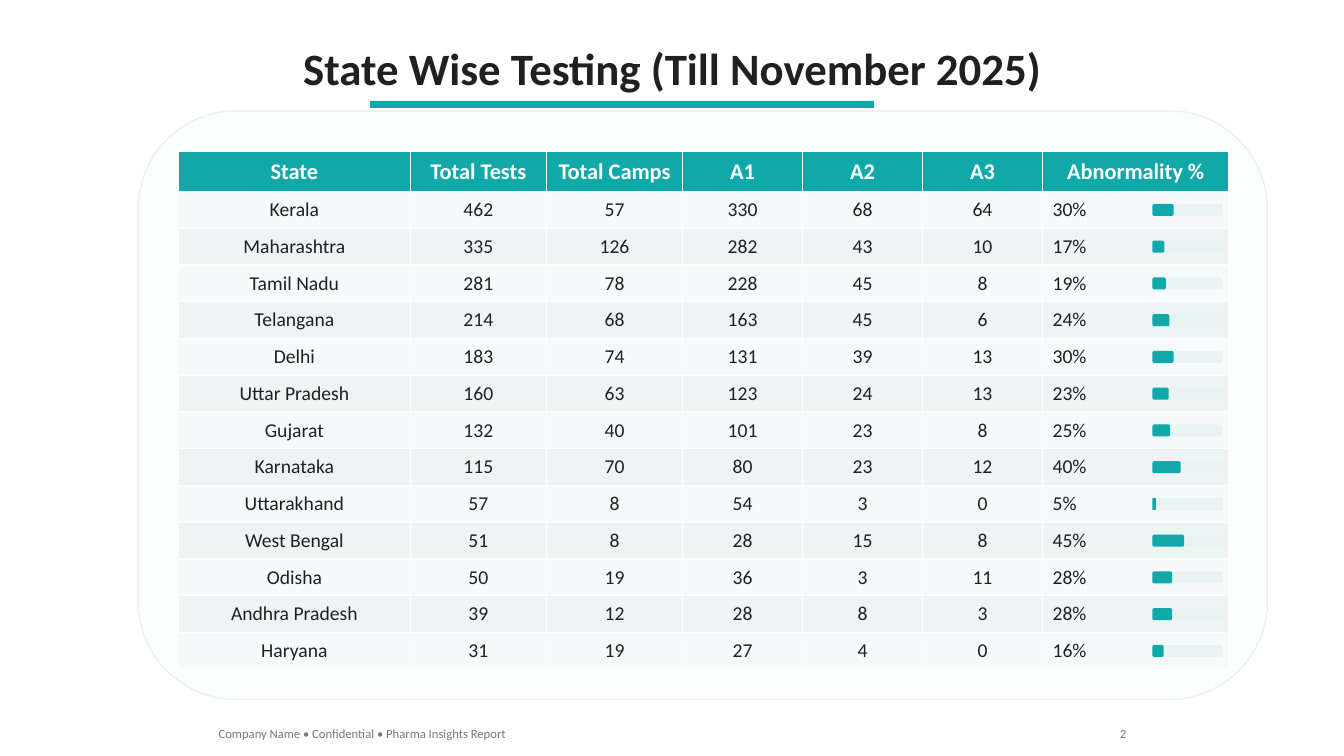
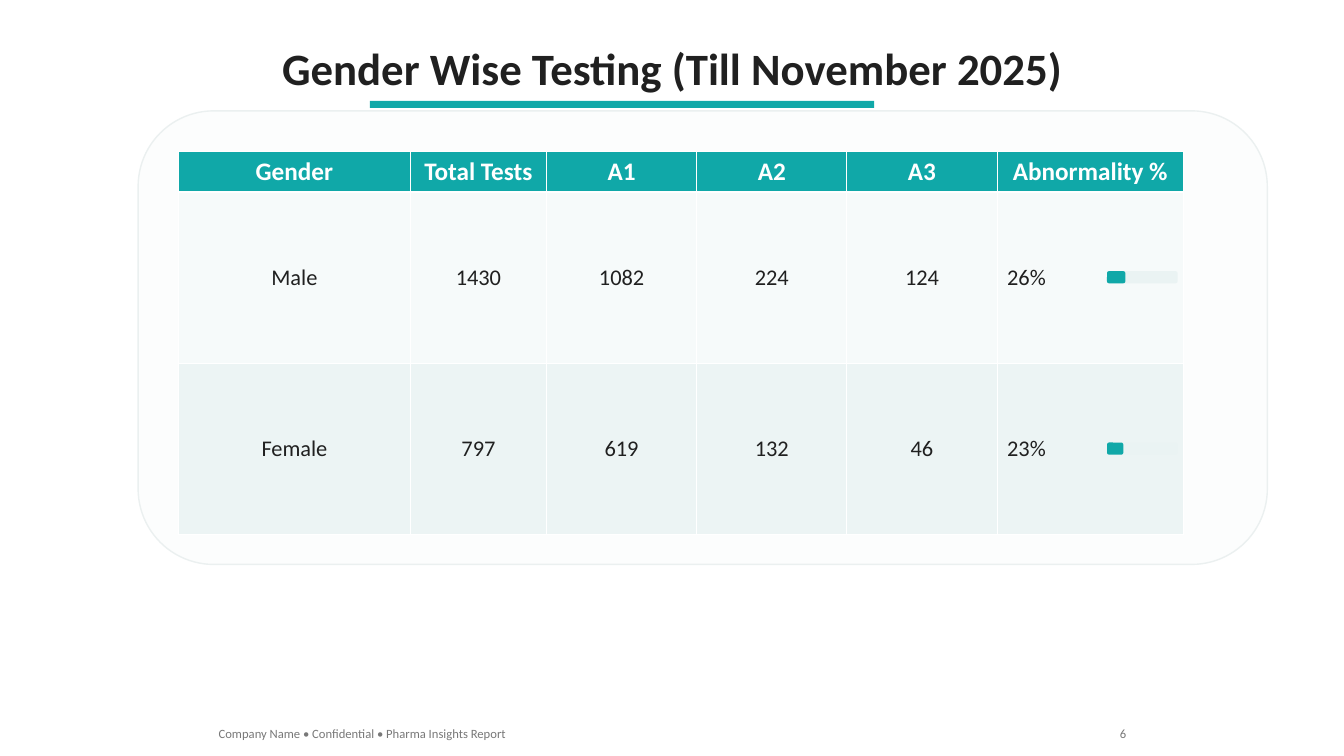
from pptx import Presentation
from pptx.dml.color import RGBColor
from pptx.enum.shapes import MSO_SHAPE
from pptx.enum.text import MSO_ANCHOR, PP_ALIGN
from pptx.util import Inches, Pt

RECTANGLE, ROUNDED = MSO_SHAPE.RECTANGLE, MSO_SHAPE.ROUNDED_RECTANGLE
LEFT, CENTER, RIGHT = PP_ALIGN.LEFT, PP_ALIGN.CENTER, PP_ALIGN.RIGHT
MIDDLE = MSO_ANCHOR.MIDDLE

FONT = "Calibri"
COLORS = {
    "accent": "10A8A8",
    "text": "202020",
    "muted": "787878",
    "white": "FFFFFF",
    "card": "FCFDFD",
    "card_line": "EBF0F0",
    "track": "EAF3F3",
    "odd_row": "F6FAFA",
    "even_row": "ECF4F4",
}
FOOTER = "Company Name • Confidential • Pharma Insights Report"
TITLE_ONLY = 5
TABLE_LEFT, TABLE_TOP, HEADER_HEIGHT = 1.77, 1.5, 0.4
CARD_MARGIN = 0.4
BAR_WIDTH, BAR_HEIGHT, BAR_INSET = 0.7, 0.12, 0.76

REPORTS = [
    {
        "title": "State Wise Testing (Till November 2025)",
        "page": "2",
        "header_size": 16,
        "body_size": 14,
        "body_height": 4.74,
        "widths": [2.3, 1.35, 1.35, 1.19, 1.19, 1.19, 1.85],
        "header": ["State", "Total Tests", "Total Camps", "A1", "A2", "A3", "Abnormality %"],
        "rows": [
            ["Kerala", 462, 57, 330, 68, 64, 30],
            ["Maharashtra", 335, 126, 282, 43, 10, 17],
            ["Tamil Nadu", 281, 78, 228, 45, 8, 19],
            ["Telangana", 214, 68, 163, 45, 6, 24],
            ["Delhi", 183, 74, 131, 39, 13, 30],
            ["Uttar Pradesh", 160, 63, 123, 24, 13, 23],
            ["Gujarat", 132, 40, 101, 23, 8, 25],
            ["Karnataka", 115, 70, 80, 23, 12, 40],
            ["Uttarakhand", 57, 8, 54, 3, 0, 5],
            ["West Bengal", 51, 8, 28, 15, 8, 45],
            ["Odisha", 50, 19, 36, 3, 11, 28],
            ["Andhra Pradesh", 39, 12, 28, 8, 3, 28],
            ["Haryana", 31, 19, 27, 4, 0, 16],
        ],
    },
    {
        "title": "Gender Wise Testing (Till November 2025)",
        "page": "6",
        "header_size": 18,
        "body_size": 16,
        "body_height": 3.4,
        "widths": [2.3, 1.35, 1.49, 1.49, 1.49, 1.85],
        "header": ["Gender", "Total Tests", "A1", "A2", "A3", "Abnormality %"],
        "rows": [
            ["Male", 1430, 1082, 224, 124, 26],
            ["Female", 797, 619, 132, 46, 23],
        ],
    },
]


def add_block(slide, kind, left, top, width, height, fill, line=None):
    shape = slide.shapes.add_shape(
        kind, Inches(left), Inches(top), Inches(width), Inches(height))
    shape.shadow.inherit = False
    shape.fill.solid()
    shape.fill.fore_color.rgb = RGBColor.from_string(COLORS[fill])
    if line:
        shape.line.color.rgb = RGBColor.from_string(COLORS[line])
        shape.line.width = Pt(1)
    else:
        shape.line.fill.background()


def write_text(text_frame, text, size, color, alignment, bold=False):
    text_frame.text = text
    paragraph = text_frame.paragraphs[0]
    paragraph.alignment = alignment
    paragraph.font.name = FONT
    paragraph.font.size = Pt(size)
    paragraph.font.bold = bold
    paragraph.font.color.rgb = RGBColor.from_string(COLORS[color])


presentation = Presentation()
presentation.slide_width = Inches(13.33)
presentation.slide_height = Inches(7.5)

for report in REPORTS:
    slide = presentation.slides.add_slide(presentation.slide_layouts[TITLE_ONLY])

    title = slide.shapes.title
    title.left, title.top = Inches(1.67), Inches(0.35)
    title.width, title.height = Inches(10), Inches(0.64)
    title.text_frame.vertical_anchor = MIDDLE
    write_text(title.text_frame, report["title"], 32, "text", CENTER, bold=True)
    add_block(slide, RECTANGLE, 3.67, 1, 5, 0.07, "accent")

    table_width = sum(report["widths"])
    table_height = HEADER_HEIGHT + report["body_height"]
    row_height = report["body_height"] / len(report["rows"])
    add_block(slide, ROUNDED, TABLE_LEFT - CARD_MARGIN, TABLE_TOP - CARD_MARGIN,
              11.2, table_height + 0.7, "card", "card_line")

    table = slide.shapes.add_table(
        len(report["rows"]) + 1, len(report["widths"]), Inches(TABLE_LEFT),
        Inches(TABLE_TOP), Inches(table_width), Inches(table_height)).table
    for column, width in zip(table.columns, report["widths"]):
        column.width = Inches(width)

    body = [[row[0], *map(str, row[1:-1]), f"{row[-1]}%"] for row in report["rows"]]
    for row_index, values in enumerate([report["header"], *body]):
        is_header = row_index == 0
        table.rows[row_index].height = Inches(HEADER_HEIGHT if is_header else row_height)
        fill = "accent" if is_header else "odd_row" if row_index % 2 else "even_row"
        size = report["header_size"] if is_header else report["body_size"]
        for column_index, value in enumerate(values):
            cell = table.cell(row_index, column_index)
            cell.fill.solid()
            cell.fill.fore_color.rgb = RGBColor.from_string(COLORS[fill])
            cell.vertical_anchor = MIDDLE
            is_percentage = not is_header and column_index == len(values) - 1
            write_text(cell.text_frame, value, size, "white" if is_header else "text",
                       LEFT if is_percentage else CENTER, bold=is_header)

    bar_left = TABLE_LEFT + table_width - BAR_INSET
    for row_index, row in enumerate(report["rows"]):
        row_middle = TABLE_TOP + HEADER_HEIGHT + (row_index + 0.5) * row_height
        bar_top = row_middle - BAR_HEIGHT / 2
        for share, fill in [(100, "track"), (row[-1], "accent")]:
            add_block(slide, ROUNDED, bar_left, bar_top,
                      BAR_WIDTH * share / 100, BAR_HEIGHT, fill)

    for text, left, width, alignment in [(FOOTER, 2.07, 3.05, LEFT),
                                         (report["page"], 11, 0.27, RIGHT)]:
        label = slide.shapes.add_textbox(
            Inches(left), Inches(7.15), Inches(width), Inches(0.25))
        label.text_frame.word_wrap = False
        write_text(label.text_frame, text, 9, "muted", alignment)

presentation.save("out.pptx")
